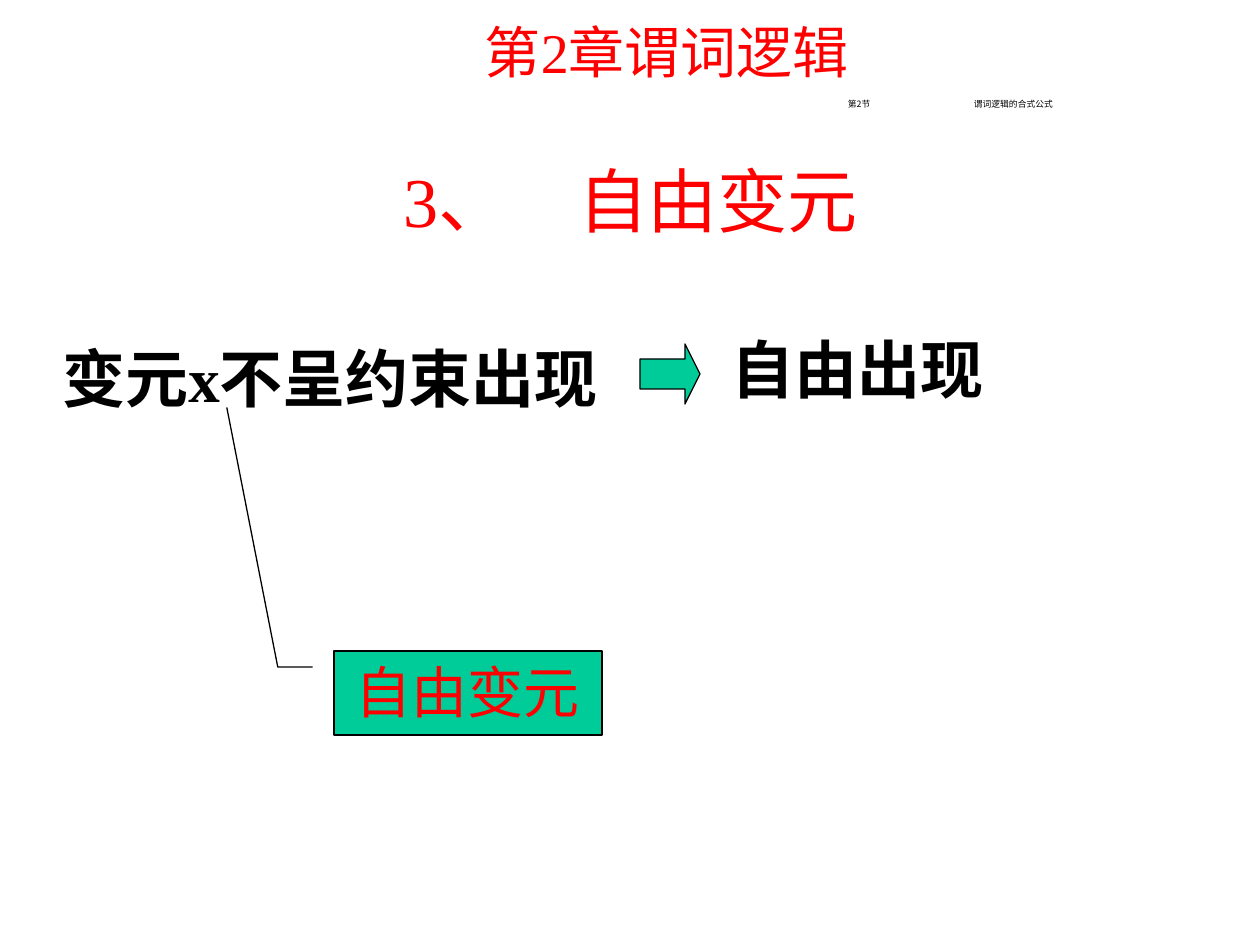
from lxml.etree import SubElement
from pptx import Presentation
from pptx.dml.color import RGBColor
from pptx.enum.shapes import MSO_SHAPE
from pptx.enum.text import MSO_ANCHOR, PP_ALIGN
from pptx.oxml.ns import qn
from pptx.util import Inches, Pt

PX = Inches(1) / 126
LATIN, CHINESE = "Times New Roman", "Noto Sans CJK SC"
RED, BLACK, GREEN = "FF0000", "000000", "00CC99"
STATEMENT = {"size": Pt(36), "bold": True}
HEADING = {"size": Pt(32)}


def emu(box):
    return [round(length * PX) for length in box]


def color(value):
    return RGBColor.from_string(value)


def write(frame, text, font, ink=BLACK, align=PP_ALIGN.LEFT, anchor=MSO_ANCHOR.TOP, wrap=True):
    """Fill a text frame with one paragraph and return that paragraph."""
    margins = {"margin_left": Inches(0.1), "margin_right": Inches(0.1),
               "margin_top": Inches(0.05), "margin_bottom": Inches(0.05)}
    for name, value in {**margins, "word_wrap": wrap, "vertical_anchor": anchor}.items():
        setattr(frame, name, value)
    paragraph = frame.paragraphs[0]
    paragraph.alignment = align
    run = paragraph.add_run()
    run.text = text
    for name, value in {"name": LATIN, **font}.items():
        setattr(run.font, name, value)
    run.font.color.rgb = color(ink)
    SubElement(run.font._element, qn("a:ea"), typeface=CHINESE)
    return paragraph


def add_text(slide, box, text, font, **layout):
    return write(slide.shapes.add_textbox(*emu(box)).text_frame, text, font, **layout)


def add_green_shape(slide, kind, box, adjustments):
    shape = slide.shapes.add_shape(kind, *emu(box))
    for index, value in enumerate(adjustments):
        shape.adjustments[index] = value
    shape.shadow.inherit = False
    shape.fill.solid()
    shape.fill.fore_color.rgb = color(GREEN)
    shape.line.color.rgb = color(BLACK)
    shape.line.width = Pt(0.75)
    return shape


def add_header(slide, left, top):
    """Place the chapter name and the section line beneath it."""
    add_text(slide, (left, top, 536, 81), "第2章谓词逻辑", HEADING,
             ink=RED, align=PP_ALIGN.CENTER)
    section = add_text(slide, (left + 252, top + 85, 599, 18), "第2节\t谓词逻辑的合式公式",
                       {"name": CHINESE, "size": Pt(5)},
                       align=PP_ALIGN.CENTER, anchor=MSO_ANCHOR.MIDDLE)
    section.line_spacing = 0.8
    tabs = SubElement(section._p.get_or_add_pPr(), qn("a:tabLst"))
    for inch in range(8):
        SubElement(tabs, qn("a:tab"), pos=str(Inches(inch)), algn="l")


def add_implication(slide, left, top):
    """Place premise, arrow and conclusion in a row."""
    add_text(slide, (left, top + 9, 591, 88), "变元x不呈约束出现", STATEMENT, wrap=False)
    add_green_shape(slide, MSO_SHAPE.RIGHT_ARROW, (left + 590, top + 20, 60, 60), (0.5, 0.25))
    add_text(slide, (left + 669, top, 277, 88), "自由出现", STATEMENT, wrap=False)


def add_callout(slide, box):
    callout = add_green_shape(slide, MSO_SHAPE.LINE_CALLOUT_2, box,
                              (0.19, -0.08, 0.19, -0.21, -2.9, -0.4))
    write(callout.text_frame, "自由变元", HEADING, ink=RED, align=PP_ALIGN.CENTER)


def main():
    deck = Presentation()
    deck.slide_width, deck.slide_height = emu((1260, 945))
    slide = deck.slides.add_slide(deck.slide_layouts[6])
    add_header(slide, 399, 11)
    add_text(slide, (95, 147, 1071, 105), "3、　自由变元", {"size": Pt(40)},
             ink=RED, align=PP_ALIGN.CENTER, anchor=MSO_ANCHOR.MIDDLE)
    add_implication(slide, 50, 324)
    add_callout(slide, (334, 651, 268, 84))
    deck.save("out.pptx")


if __name__ == "__main__":
    main()
